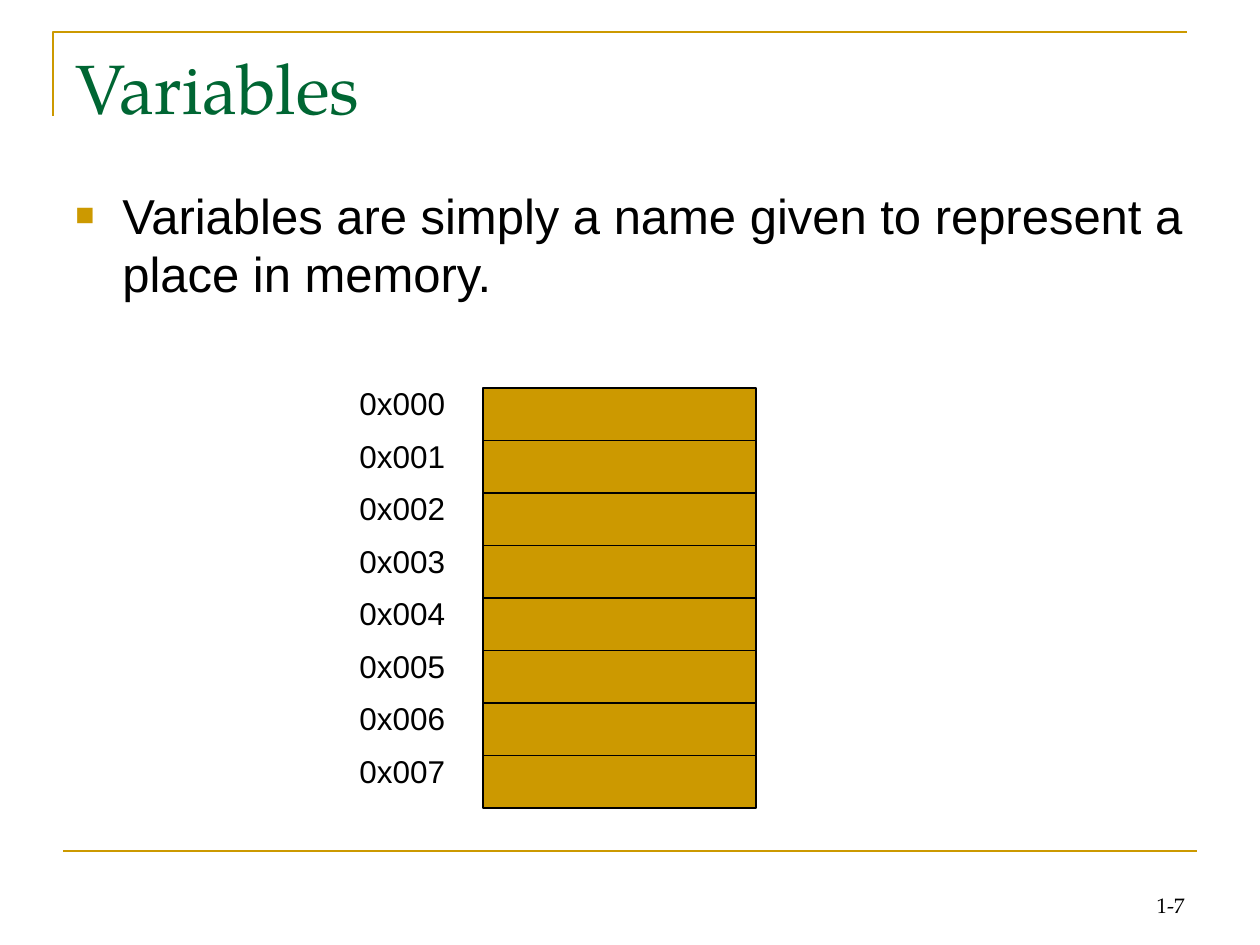
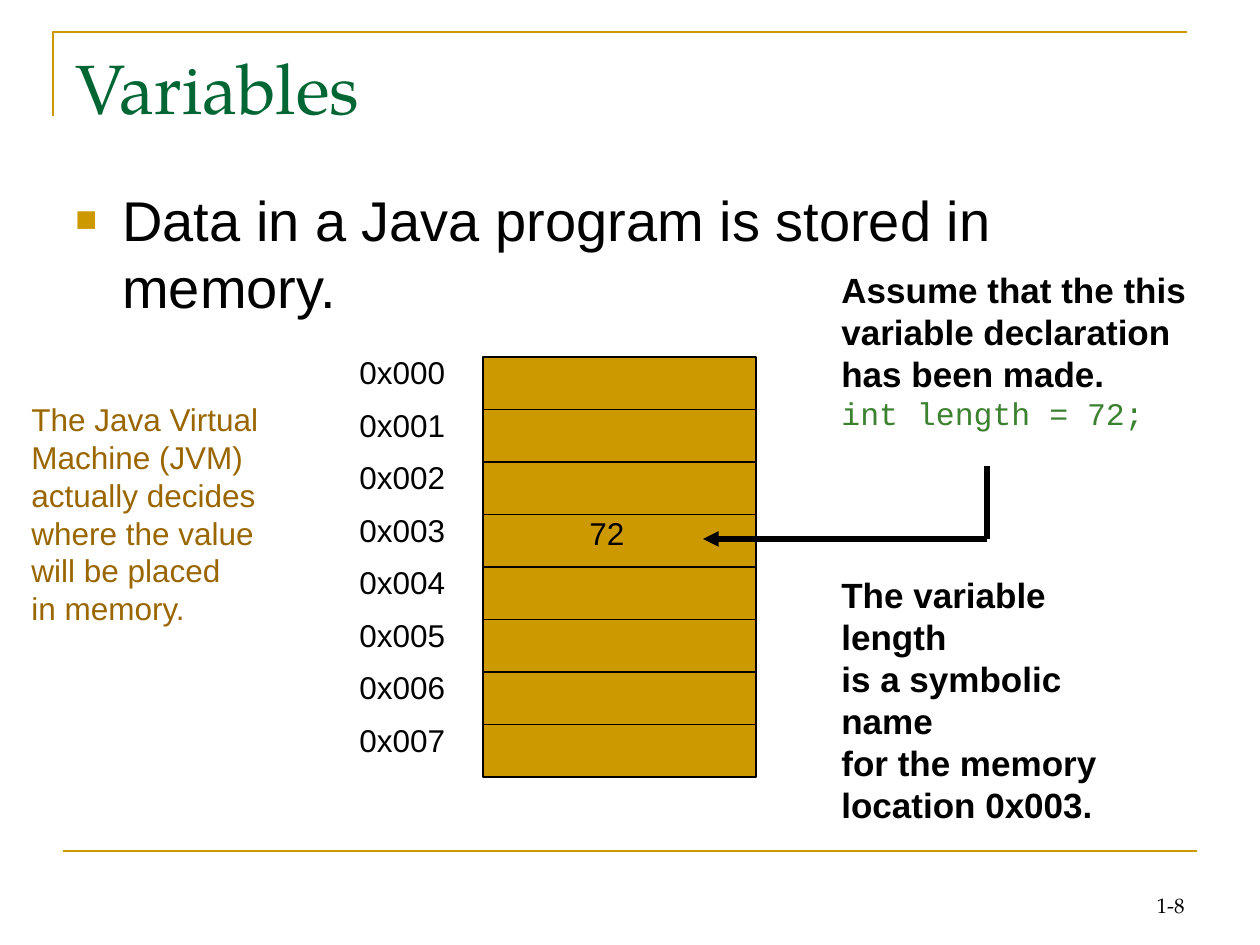
"""Builds two slides on variables and computer memory."""
from lxml import etree
from pptx import Presentation
from pptx.dml.color import RGBColor
from pptx.enum.shapes import MSO_CONNECTOR, MSO_SHAPE
from pptx.enum.text import MSO_ANCHOR, MSO_AUTO_SIZE, PP_ALIGN
from pptx.oxml.ns import qn
from pptx.util import Emu, Pt

STRAIGHT = MSO_CONNECTOR.STRAIGHT
RECTANGLE = MSO_SHAPE.RECTANGLE
TOP, BOTTOM = MSO_ANCHOR.TOP, MSO_ANCHOR.BOTTOM
LEFT, RIGHT = PP_ALIGN.LEFT, PP_ALIGN.RIGHT
FIXED = MSO_AUTO_SIZE.NONE

PIXEL = 914400 / 126
TITLE_ONLY = 5

GOLD = RGBColor(0xCC, 0x99, 0x00)
GREEN = RGBColor(0x00, 0x66, 0x33)
BROWN = RGBColor(0x99, 0x66, 0x00)
CODE_GREEN = RGBColor(0x3B, 0x81, 0x2F)
BLACK = RGBColor(0x00, 0x00, 0x00)

SERIF, SANS, MONO = "TeX Gyre Pagella", "Arial", "Courier New"


def style(size, name=SANS, color=BLACK, bold=False):
    return {"size": Pt(size), "name": name, "color": color, "bold": bold}


TITLE = style(40, SERIF, GREEN)
NUMBER = style(12, SERIF)
LABEL = style(18)
REMARK = style(18, color=BROWN)
STRONG = style(20, bold=True)
CODE = style(18, MONO, CODE_GREEN)


def px(length):
    return Emu(round(length * PIXEL))


class Slides:
    def __init__(self):
        self.deck = Presentation()
        self.deck.slide_width, self.deck.slide_height = px(1260), px(945)
        self.page = self.shapes = None

    def start(self, title, number):
        layout = self.deck.slide_layouts[TITLE_ONLY]
        self.page = self.deck.slides.add_slide(layout)
        self.shapes = self.page.shapes
        self.frame()
        heading = self.page.shapes.title
        places = dict(zip(("left", "top", "width", "height"),
                          map(px, (63, 38, 1134, 157))))
        for key, value in places.items():
            setattr(heading, key, value)
        self.fill_text(heading, [(title, TITLE)])
        self.text((903, 861, 294, 63), [(number, NUMBER)], RIGHT, BOTTOM)

    def frame(self):
        builder = self.shapes.build_freeform(53, 116, scale=PIXEL)
        builder.add_line_segments([(53, 32), (1187, 32)], close=False)
        corner = builder.convert_to_shape()
        corner.shadow.inherit = False
        corner.fill.background()
        corner.line.color.rgb, corner.line.width = GOLD, Pt(1.5)
        self.line((63, 851), (1197, 851), GOLD, 1.5)

    def group(self):
        self.shapes = self.page.shapes.add_group_shape().shapes

    def ungroup(self):
        self.shapes = self.page.shapes

    def fill_text(self, box, lines, align=LEFT, anchor=TOP):
        frame = box.text_frame
        layout = {"word_wrap": True, "auto_size": FIXED,
                  "vertical_anchor": anchor}
        for key, value in layout.items():
            setattr(frame, key, value)
        for index, (words, look) in enumerate(lines):
            para = frame.add_paragraph() if index else frame.paragraphs[0]
            para.alignment = align
            span = para.add_run()
            span.text = words
            for key, value in look.items():
                if key == "color":
                    span.font.color.rgb = value
                else:
                    setattr(span.font, key, value)

    def text(self, place, lines, align=LEFT, anchor=TOP):
        box = self.shapes.add_textbox(*map(px, place))
        self.fill_text(box, lines, align, anchor)
        return box

    def bullet(self, words, size):
        box = self.text((63, 179, 1134, 667), [(words, style(size))])
        marks = box.text_frame.paragraphs[0]._p.get_or_add_pPr()
        marks.set("marL", str(px(47)))
        marks.set("indent", str(-px(47)))
        color = etree.SubElement(marks, qn("a:buClr"))
        etree.SubElement(color, qn("a:srgbClr"), val=str(GOLD))
        etree.SubElement(marks, qn("a:buSzPct"), val="65000")
        etree.SubElement(marks, qn("a:buFont"), typeface=SANS)
        etree.SubElement(marks, qn("a:buChar"), char="■")

    def line(self, start, end, color, width, arrow=False):
        link = self.shapes.add_connector(STRAIGHT, *map(px, start + end))
        link.line.color.rgb, link.line.width = color, Pt(width)
        if arrow:
            etree.SubElement(link.line._get_or_add_ln(), qn("a:tailEnd"),
                             type="triangle")
        etree.SubElement(link._element.spPr, qn("a:effectLst"))

    def cell(self, place):
        box = self.shapes.add_shape(RECTANGLE, *map(px, place))
        box.shadow.inherit = False
        box.fill.solid()
        box.fill.fore_color.rgb = GOLD
        box.line.color.rgb, box.line.width = BLACK, Pt(0.75)

    def memory(self, top, count=8, height=420):
        pitch = height / count
        self.group()
        for row in range(count):
            self.cell((483, top + row * pitch, 273, pitch))
        for row in range(count):
            self.text((347, top - 10 + row * pitch, 130, 63),
                      [(f"0x{row:03X}", LABEL)])
        self.ungroup()


def variables_as_names(slides):
    slides.start("Variables", "1-7")
    slides.bullet("Variables are simply a name given to represent a "
                  "place in memory.", 28)
    slides.memory(388)


def variable_in_memory(slides):
    slides.start("Variables", "1-8")
    slides.bullet("Data in a Java program is stored in memory.", 32)
    slides.memory(357)
    remark = ("The Java Virtual", "Machine (JVM)", "actually decides",
              "where the value", "will be placed", "in memory.")
    slides.text((19, 394, 305, 315), [(words, REMARK) for words in remark])

    slides.group()
    slides.text((577, 508, 67, 63), [("72", LABEL)])
    declaration = ("Assume that the this", "variable declaration",
                   "has been made.")
    slides.text((829, 262, 428, 189),
                [(words, STRONG) for words in declaration]
                + [("int length = 72;", CODE)])
    meaning = ("The variable length", "is a symbolic name",
               "for the memory", "location 0x003.")
    slides.text((829, 567, 317, 180), [(words, STRONG) for words in meaning])
    slides.line((987, 539), (703, 539), BLACK, 3, arrow=True)
    slides.line((987, 539), (987, 466), BLACK, 3)
    slides.ungroup()


def main():
    slides = Slides()
    variables_as_names(slides)
    variable_in_memory(slides)
    slides.deck.save("out.pptx")


main()
